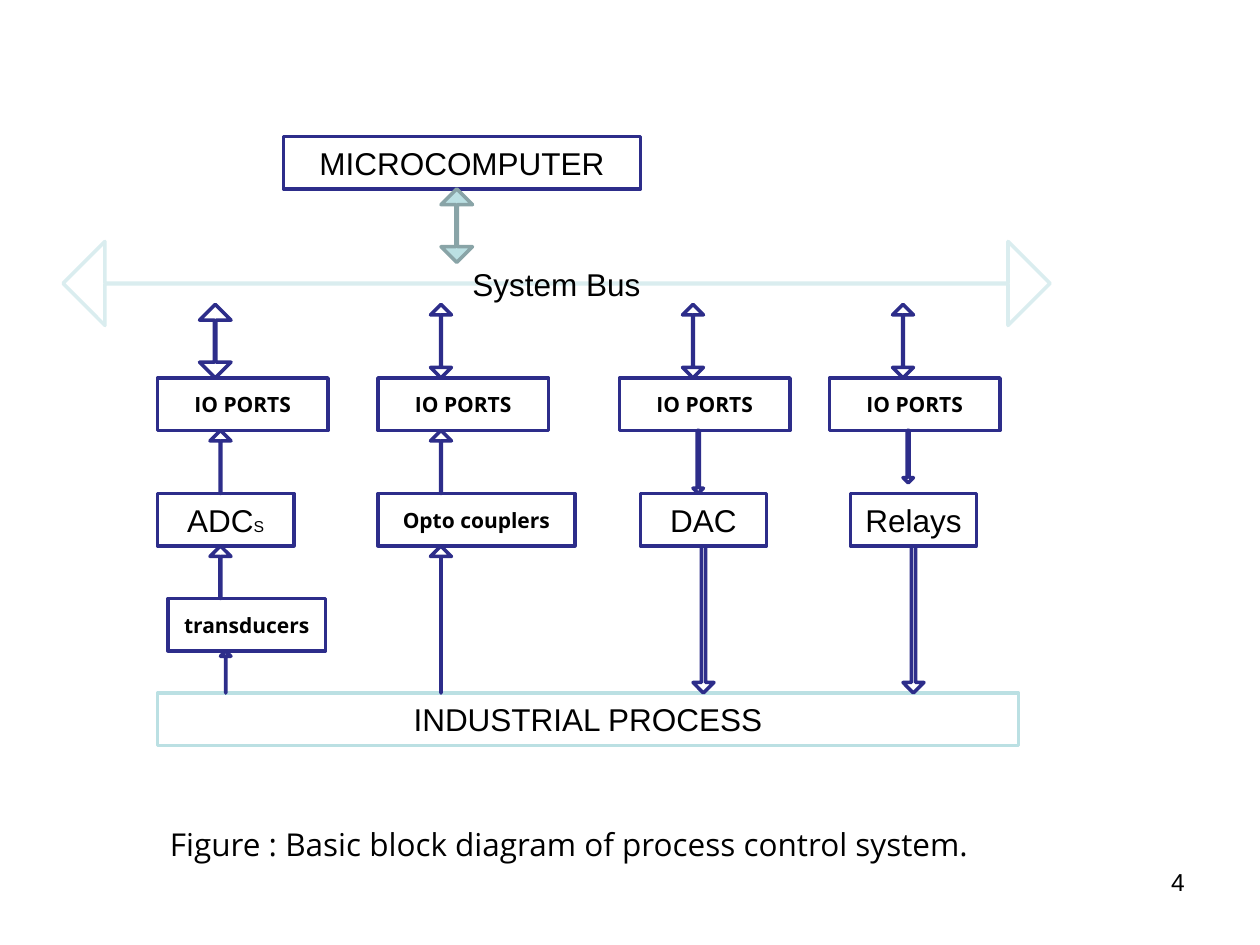
import pptx
import pptx.util
import pptx.dml.color
import pptx.enum.shapes
import pptx.enum.text

SHAPE = pptx.enum.shapes.MSO_SHAPE
ALIGN = pptx.enum.text.PP_ALIGN
RGBColor = pptx.dml.color.RGBColor

WHITE = RGBColor(0xFF, 0xFF, 0xFF)
BLACK = RGBColor(0x00, 0x00, 0x00)
NAVY = RGBColor(0x2D, 0x2D, 0x8A)
AQUA = RGBColor(0xBB, 0xE0, 0xE3)
PALE_AQUA = RGBColor(0xDA, 0xED, 0xEF)
GREY_AQUA = RGBColor(0x89, 0xA4, 0xA7)

# Grid: twelve cells to the inch
CELL = pptx.util.Inches(1) / 12
BOX_ROWS = 5
PORT_ROW, DEVICE_ROW, TRANSDUCER_ROW, PROCESS_ROW = 36, 47, 57, 66
LINK_ROW = 29
PORT_COLUMNS = (15, 36, 59, 79)


def cells(*counts):
    return [round(count * CELL) for count in counts]


def write(frame, text, font, size, bold=False, align=ALIGN.CENTER):
    """Fill the first paragraph and return it."""
    frame.word_wrap = True
    para = frame.paragraphs[0]
    para.alignment = align
    para.font.name = font
    para.font.size = pptx.util.Pt(size)
    para.font.bold = bold
    para.font.color.rgb = BLACK
    para.add_run().text = text
    return para


def add_outline(page, kind, place, line=NAVY, fill=WHITE, adjust=()):
    shape = page.shapes.add_shape(kind, *cells(*place))
    shape.shadow.inherit = False
    shape.fill.solid()
    shape.fill.fore_color.rgb = fill
    shape.line.color.rgb = line
    shape.line.width = pptx.util.Pt(2)
    for index, value in enumerate(adjust):
        shape.adjustments[index] = value
    return shape


def add_box(page, text, left, top, width, line=NAVY, small=False):
    box = add_outline(page, SHAPE.RECTANGLE, (left, top, width, BOX_ROWS), line)
    box.text_frame.vertical_anchor = pptx.enum.text.MSO_ANCHOR.MIDDLE
    if small:
        return write(box.text_frame, text, "Open Sans", 12, bold=True)
    return write(box.text_frame, text, "Arial", 18)


def add_link(page, left, top, width, line=NAVY, fill=WHITE):
    """Two-way arrow whose flat heads follow its width."""
    add_outline(page, SHAPE.UP_DOWN_ARROW, (left, top, width, 7), line, fill,
                (0.5, 0.046 if width == 3 else 0.031))


def add_label(page, text, place, font, size, align):
    box = page.shapes.add_textbox(*cells(*place))
    write(box.text_frame, text, font, size, align=align)


def main():
    deck = pptx.Presentation()
    deck.slide_width = pptx.util.Inches(10)
    deck.slide_height = pptx.util.Inches(7.5)
    page = deck.slides.add_slide(deck.slide_layouts[6])

    # System bus and microcomputer
    bus = add_outline(page, SHAPE.LEFT_RIGHT_ARROW, (6, 23, 94, 8), PALE_AQUA,
                      adjust=(0.009, 0.5))
    bus.text_frame.vertical_anchor = pptx.enum.text.MSO_ANCHOR.MIDDLE
    write(bus.text_frame, "System Bus", "Arial", 18)
    add_box(page, "MICROCOMPUTER", 27, 13, 34)
    add_link(page, 42, 18, 3, GREY_AQUA, AQUA)

    # Ports, devices and the process
    for column in PORT_COLUMNS:
        add_box(page, "IO PORTS", column, PORT_ROW, 16.25, small=True)
    converter = add_box(page, "ADC", 15, DEVICE_ROW, 13)
    span = converter.add_run()
    span.text = "S"
    span.font.size = pptx.util.Pt(9)
    add_box(page, "Opto couplers", 36, DEVICE_ROW, 18.75, small=True)
    add_box(page, "DAC", 61, DEVICE_ROW, 12)
    add_box(page, "Relays", 81, DEVICE_ROW, 12)
    add_box(page, "transducers", 16, TRANSDUCER_ROW, 15, small=True)
    add_box(page, "INDUSTRIAL PROCESS", 15, PROCESS_ROW, 82, AQUA)

    # Links from the bus to the ports
    for left, width in ((19, 3), (41, 2), (65, 2), (85, 2)):
        add_link(page, left, LINK_ROW, width)

    # Inputs: left, top, width, height, shaft share
    for *place, shaft in ((20, 41, 2, 6, 0.036), (41, 41, 2, 6, 0.036),
                          (20, 52, 2, 5, 0.043), (21, 62, 1, 4, 0.027),
                          (41, 52, 2, 14, 0.015)):
        add_outline(page, SHAPE.UP_ARROW, place, adjust=(shaft, 0.5))

    # Outputs: left, top, width, height
    for place in ((66, 52, 2, 14), (86, 52, 2, 14),
                  (66, 41, 1, 6), (86, 41, 1, 5)):
        add_outline(page, SHAPE.DOWN_ARROW, place, adjust=(0.2, 0.5))

    # Caption and page number
    add_label(page, "Figure : Basic block diagram of process control system.",
              (15, 78, 80, 4.8), "Open Sans", 18, ALIGN.LEFT)
    add_label(page, "4", (86, 82, 28, 6.25), "Arial", 14, ALIGN.RIGHT)

    deck.save("out.pptx")


main()
